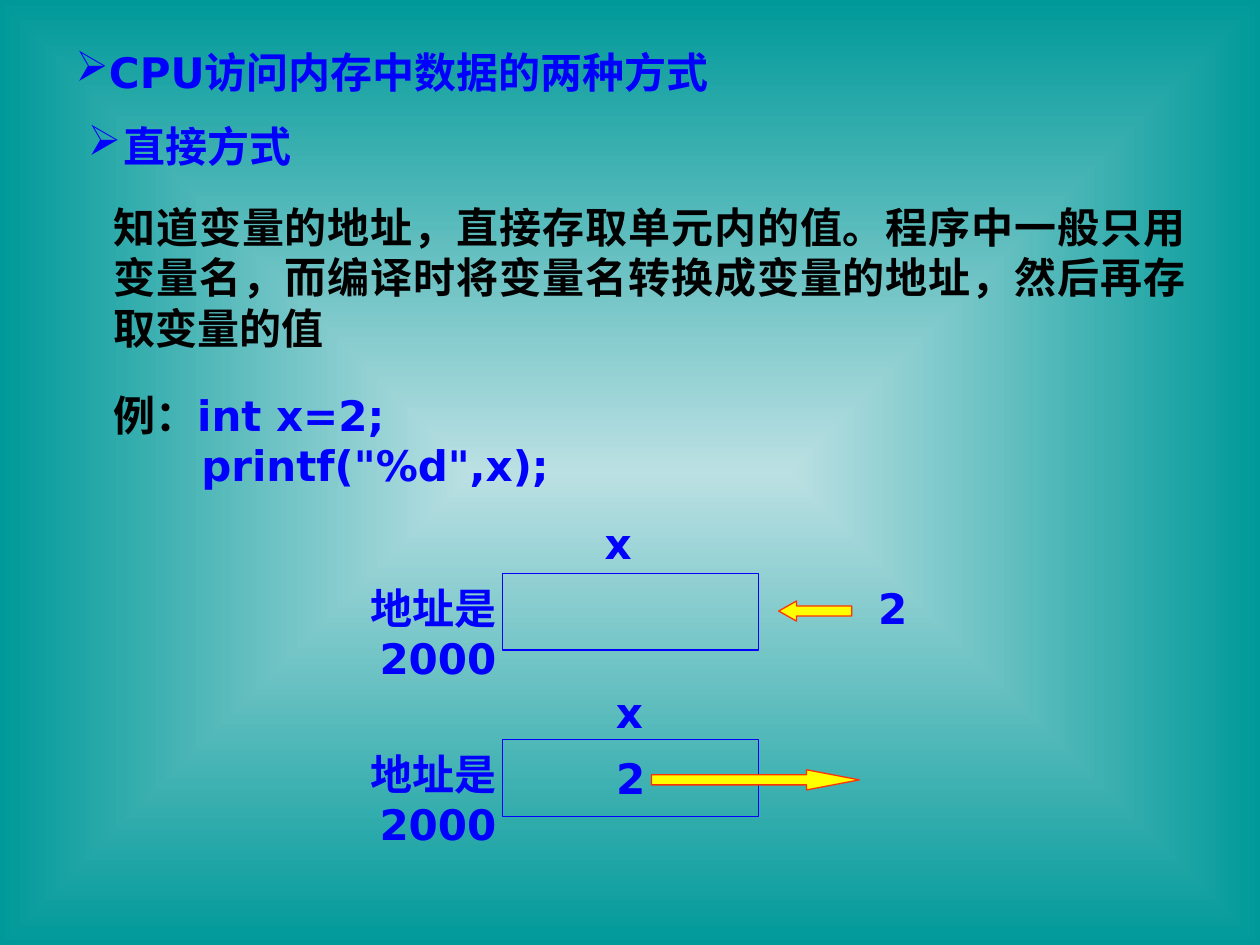
import pptx
import pptx.util
import pptx.dml.color
import pptx.enum.shapes
import pptx.enum.text
import pptx.oxml.ns
import lxml.etree

Inches = pptx.util.Inches
Color = pptx.dml.color.RGBColor
Align = pptx.enum.text.PP_ALIGN
Anchor = pptx.enum.text.MSO_ANCHOR
Shape = pptx.enum.shapes.MSO_SHAPE
qn = pptx.oxml.ns.qn

BLUE = Color(0x00, 0x00, 0xFF)
BLACK = Color(0x00, 0x00, 0x00)
YELLOW = Color(0xFF, 0xFF, 0x00)
RED = Color(0xFF, 0x33, 0x00)
PALE = Color(0xBB, 0xE0, 0xE3)
TEAL = Color(0x00, 0x99, 0x99)
FONT = "DejaVu Sans"


def inch(box):
    """Turn a box of numbers into lengths."""
    return [Inches(side) for side in box]


def write(shape, lines, align=Align.LEFT, left=(0,), hang=0, bullet=None,
          pad=(0.1, 0.05), anchor=Anchor.TOP, wrap=True):
    """Fill a shape with lines, each a list of (words, colour) runs."""
    frame = shape.text_frame
    frame.auto_size = pptx.enum.text.MSO_AUTO_SIZE.NONE
    frame.word_wrap = wrap
    frame.vertical_anchor = anchor
    frame.margin_left = frame.margin_right = Inches(pad[0])
    frame.margin_top = frame.margin_bottom = Inches(pad[1])
    for num, line in enumerate(lines):
        para = frame.add_paragraph() if num else frame.paragraphs[0]
        para.alignment = align
        para.space_before = pptx.util.Pt(0)
        props = para._p.get_or_add_pPr()
        props.set("marL", str(Inches(left[num])))
        props.set("indent", str(Inches(hang)))
        if bullet:
            tint = lxml.etree.SubElement(props, qn("a:buClr"))
            lxml.etree.SubElement(tint, qn("a:srgbClr"), val=str(BLUE))
            lxml.etree.SubElement(props, qn("a:buChar"), char=bullet)
        for words, color in line:
            run = para.add_run()
            run.text = words
            run.font.name = FONT
            run.font.size = pptx.util.Pt(24)
            run.font.bold = True
            run.font.color.rgb = color


def label(shapes, box, words, **form):
    """Add a text box with one blue line."""
    write(shapes.add_textbox(*inch(box)), [[(words, BLUE)]], **form)


def draw(shapes, kind, box, line, fill=None):
    """Add a flat outlined shape, filled if a colour is given."""
    shape = shapes.add_shape(kind, *inch(box))
    shape.shadow.inherit = False
    shape.line.color.rgb = line
    shape.line.width = pptx.util.Pt(0.75)
    if fill is None:
        shape.fill.background()
    else:
        shape.fill.solid()
        shape.fill.fore_color.rgb = fill
    return shape


def paint(slide):
    """Set the background to a gradient glowing from the centre."""
    fill = slide.background.fill
    fill.gradient()
    for stop, color in zip(fill.gradient_stops, (PALE, TEAL)):
        stop.color.rgb = color
    fill.gradient_stops[0].position = 0
    fill.gradient_stops[1].position = 1
    grad = slide._element.find(".//" + qn("a:gradFill"))
    grad.remove(grad.find(qn("a:lin")))
    glow = lxml.etree.Element(qn("a:path"), path="rect")
    lxml.etree.SubElement(glow, qn("a:fillToRect"),
                          l="50000", t="50000", r="50000", b="50000")
    grad.find(qn("a:gsLst")).addnext(glow)


def heads(slide, box):
    """Place the title and the subheading below it."""
    left, top, width, height = box
    title = slide.shapes.title
    title.left, title.top, title.width, title.height = inch(box)
    write(title, [[("CPU访问内存中数据的两种方式", BLUE)]],
          bullet="➢", anchor=Anchor.MIDDLE)
    label(slide.shapes, (left, top + 0.59, width, height), "直接方式",
          left=(0.38,), hang=-0.28, bullet="➢")


def prose(slide, box):
    """Place the explanation and the code sample below it."""
    left, top, width, height = box
    note = slide.shapes.add_textbox(*inch(box))
    write(note, [[("知道变量的地址，直接存取单元内的值。程序中一般只用变量名，"
                   "而编译时将变量名转换成变量的地址，然后再存取变量的值", BLACK)]],
          align=Align.JUSTIFY, left=(0.29,))
    code = slide.shapes.add_textbox(*inch((left, top + 1.49, width, 0.9)))
    write(code, [[("例：", BLACK), ("int x=2;", BLUE)],
                 [('printf("%d",x);', BLUE)]], left=(0.29, 0.99))


def cell(slide, box, name, kind, arrow, ratio, value=None):
    """Draw a memory cell with its name, address and data arrow."""
    left, top, width, height = box
    shapes = slide.shapes.add_group_shape().shapes
    frame = draw(shapes, Shape.RECTANGLE, box, BLUE)
    if value:
        write(frame, [[(value, BLUE)]], align=Align.CENTER,
              anchor=Anchor.MIDDLE, wrap=False)
    label(shapes, (left + name[0], top + name[1], 0.75, 0.5), "x",
          align=Align.CENTER)
    label(shapes, (left - 1.75, top + 0.07, 1.7, 0.8), "地址是2000",
          align=Align.RIGHT, pad=(0, 0))
    start, drop, span = arrow
    dart = draw(shapes, kind, (left + start, top + drop, span, 0.16),
                RED, YELLOW)
    dart.adjustments[1] = ratio
    if not value:
        label(shapes, (left + 2.98, top + 0.07, 0.25, 0.4), "2", pad=(0, 0))


def main():
    """Build and save the slide."""
    deck = pptx.Presentation()
    deck.slide_width, deck.slide_height = Inches(10), Inches(7.5)
    slide = deck.slides.add_slide(deck.slide_layouts[5])
    paint(slide)
    heads(slide, (0.5, 0.32, 9, 0.5))
    prose(slide, (0.51, 1.55, 9, 1.3))
    cell(slide, (3.99, 4.55, 2.03, 0.61), (0.54, -0.49),
         Shape.LEFT_ARROW, (2.19, 0.22, 0.58), 0.89)
    cell(slide, (3.99, 5.87, 2.03, 0.61), (0.63, -0.47),
         Shape.RIGHT_ARROW, (1.18, 0.24, 1.65), 2.62, value="2")
    deck.save("out.pptx")


if __name__ == "__main__":
    main()
